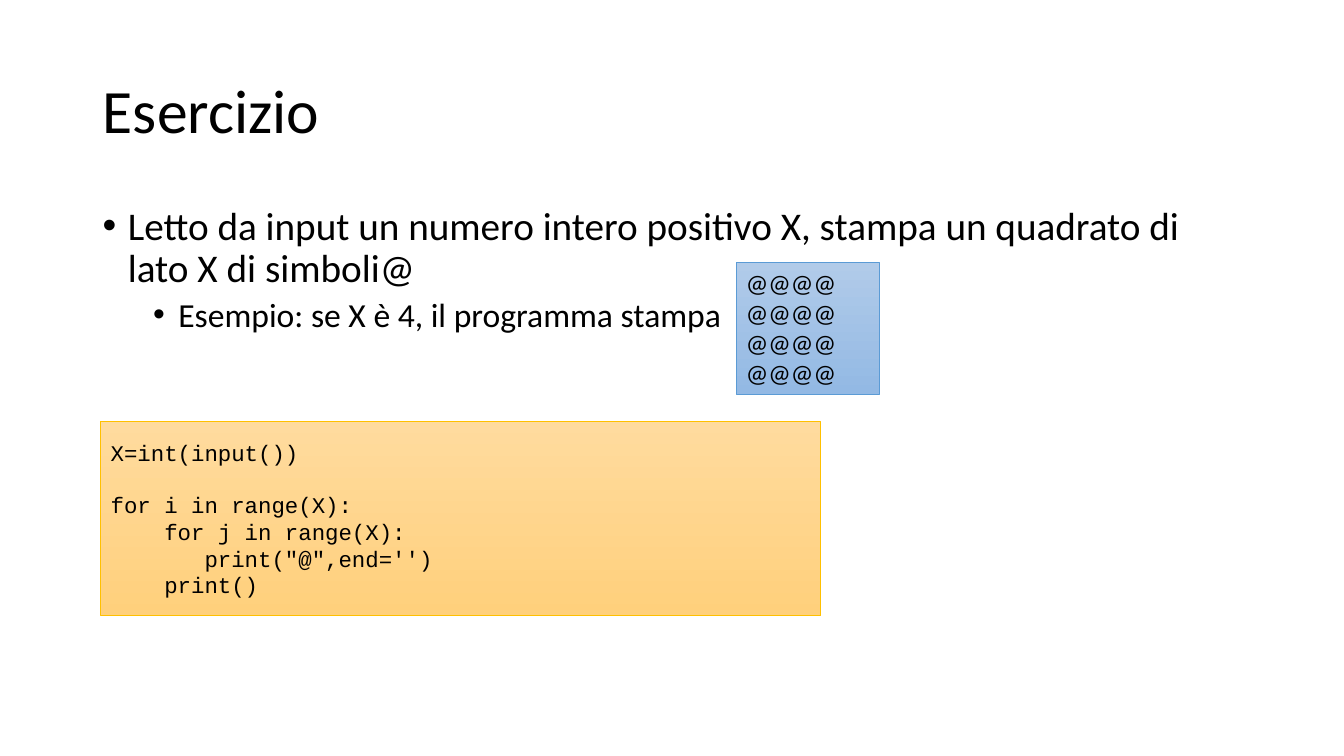
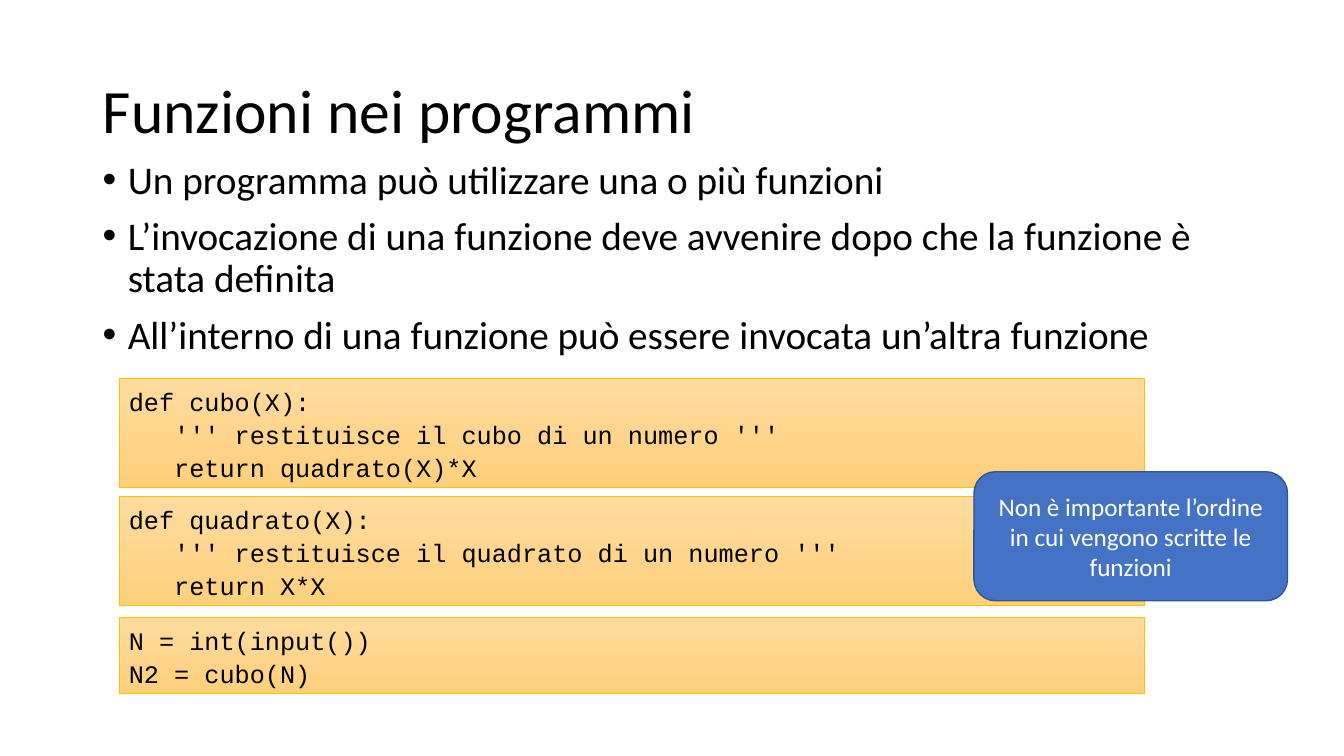
from dataclasses import dataclass

from lxml.etree import SubElement
from pptx import Presentation
from pptx.dml.color import RGBColor
from pptx.enum.shapes import MSO_SHAPE
from pptx.enum.text import MSO_ANCHOR, MSO_AUTO_SIZE, PP_ALIGN
from pptx.oxml.ns import qn
from pptx.util import Inches, Pt


@dataclass(frozen=True)
class Theme:
    text_font: str = "Calibri"
    code_font: str = "Courier New"
    ink: str = "000000"
    white: str = "FFFFFF"
    code_fill: tuple = ("FFDB9E", "FFD07C")
    code_line: str = "FFC000"
    output_fill: tuple = ("B1CBE9", "93B9E4")
    output_line: str = "5B9BD5"
    note_fill: str = "4472C4"
    note_line: str = "325491"
    title_size: int = 44
    bullet_sizes: tuple = (28, 24)
    bullet_gaps: tuple = (10, 5)
    label_size: int = 18
    small_code_size: int = 16


THEME = Theme()


def set_attributes(target, values):
    for name, value in values.items():
        setattr(target, name, value)


def prepare_frame(frame, anchor):
    set_attributes(frame, {
        "word_wrap": True,
        "auto_size": MSO_AUTO_SIZE.NONE,
        "vertical_anchor": anchor,
    })


def write_para(frame, index, text, size, font=THEME.text_font, color=THEME.ink, **layout):
    para = frame.paragraphs[0] if index == 0 else frame.add_paragraph()
    set_attributes(para, {"alignment": PP_ALIGN.LEFT, **layout})
    span = para.add_run()
    span.text = text
    set_attributes(span.font, {"name": font, "size": Pt(size)})
    span.font.color.rgb = RGBColor.from_string(color)
    return para


def add_titled_slide(deck, text):
    page = deck.slides.add_slide(deck.slide_layouts.get_by_name("Title Only"))
    title = page.shapes.title
    set_attributes(title, {
        "left": Inches(0.92), "top": Inches(0.4),
        "width": Inches(11.5), "height": Inches(1.45),
    })
    prepare_frame(title.text_frame, MSO_ANCHOR.MIDDLE)
    write_para(title.text_frame, 0, text, THEME.title_size, line_spacing=0.9)
    return page


def add_bullets(page, top, items):
    """Items are pairs of outline level and text."""
    box = page.shapes.add_textbox(Inches(0.92), Inches(top), Inches(11.5), Inches(6.76 - top))
    prepare_frame(box.text_frame, MSO_ANCHOR.TOP)
    for index, (level, text) in enumerate(items):
        para = write_para(
            box.text_frame, index, text, THEME.bullet_sizes[level], level=level,
            line_spacing=0.9, space_before=Pt(THEME.bullet_gaps[level] if index else 0))
        properties = para._p.get_or_add_pPr()
        properties.set("marL", str(Inches(0.25 + 0.5 * level)))
        properties.set("indent", str(-Inches(0.25)))
        SubElement(properties, qn("a:buFont")).set("typeface", "Arial")
        SubElement(properties, qn("a:buChar")).set("char", "•")


def add_panel(page, preset, bounds, fill, line, line_width, anchor):
    """A tuple as fill gives a gradient from top to bottom."""
    panel = page.shapes.add_shape(preset, *map(Inches, bounds))
    panel.shadow.inherit = False
    if isinstance(fill, tuple):
        panel.fill.gradient()
        panel.fill.gradient_angle = 270
        for stop, color in zip(panel.fill.gradient_stops, fill):
            stop.color.rgb = RGBColor.from_string(color)
    else:
        panel.fill.solid()
        panel.fill.fore_color.rgb = RGBColor.from_string(fill)
    panel.line.color.rgb = RGBColor.from_string(line)
    panel.line.width = Pt(line_width)
    prepare_frame(panel.text_frame, anchor)
    return panel.text_frame


def add_code(page, bounds, code, size=THEME.label_size, line_spacing=1.1, anchor=MSO_ANCHOR.TOP):
    """Blocks of code parted by an empty line are set one line apart."""
    frame = add_panel(page, MSO_SHAPE.RECTANGLE, bounds,
                      THEME.code_fill, THEME.code_line, 0.5, anchor)
    index = 0
    for block in code.split("\n\n"):
        for row, text in enumerate(block.split("\n")):
            gap = Pt(size * 1.13) if index and row == 0 else Pt(0)
            write_para(frame, index, text, size, THEME.code_font,
                       line_spacing=line_spacing, space_before=gap)
            index += 1


def add_output(page, bounds, lines):
    frame = add_panel(page, MSO_SHAPE.RECTANGLE, bounds,
                      THEME.output_fill, THEME.output_line, 0.5, MSO_ANCHOR.TOP)
    for index, text in enumerate(lines):
        write_para(frame, index, text, THEME.label_size)


def add_note(page, bounds, text):
    frame = add_panel(page, MSO_SHAPE.ROUNDED_RECTANGLE, bounds,
                      THEME.note_fill, THEME.note_line, 1, MSO_ANCHOR.MIDDLE)
    write_para(frame, 0, text, THEME.label_size, color=THEME.white, alignment=PP_ALIGN.CENTER)


SQUARE_CODE = """X=int(input())

for i in range(X):
    for j in range(X):
       print("@",end='')
    print()"""

FUNCTION_PANELS = [
    (3.75, 1.09, """def cubo(X):
   ''' restituisce il cubo di un numero '''
   return quadrato(X)*X"""),
    (4.92, 1.09, """def quadrato(X):
   ''' restituisce il quadrato di un numero '''
   return X*X"""),
    (6.12, 0.76, """N = int(input())
N2 = cubo(N)"""),
]


def build_exercise(deck):
    page = add_titled_slide(deck, "Esercizio")
    add_bullets(page, 2, [
        (0, "Letto da input un numero intero positivo X, stampa un quadrato di lato X di simboli@"),
        (1, "Esempio: se X è 4, il programma stampa"),
    ])
    side = 4
    add_output(page, (7.3, 2.6, 1.42, 1.31), ["@" * side] * side)
    add_code(page, (1, 4.18, 7.14, 1.93), SQUARE_CODE,
             THEME.small_code_size, 1.0, MSO_ANCHOR.MIDDLE)


def build_functions(deck):
    page = add_titled_slide(deck, "Funzioni nei programmi")
    add_bullets(page, 1.54, [
        (0, "Un programma può utilizzare una o più funzioni"),
        (0, "L’invocazione di una funzione deve avvenire dopo che la funzione è stata definita"),
        (0, "All’interno di una funzione può essere invocata un’altra funzione"),
    ])
    for top, height, code in FUNCTION_PANELS:
        add_code(page, (1.18, top, 10.17, height), code)
    add_note(page, (9.66, 4.68, 3.11, 1.28),
             "Non è importante l’ordine in cui vengono scritte le funzioni")


def main():
    deck = Presentation()
    set_attributes(deck, {"slide_width": Inches(13.33), "slide_height": Inches(7.5)})
    build_exercise(deck)
    build_functions(deck)
    deck.save("out.pptx")


if __name__ == "__main__":
    main()
